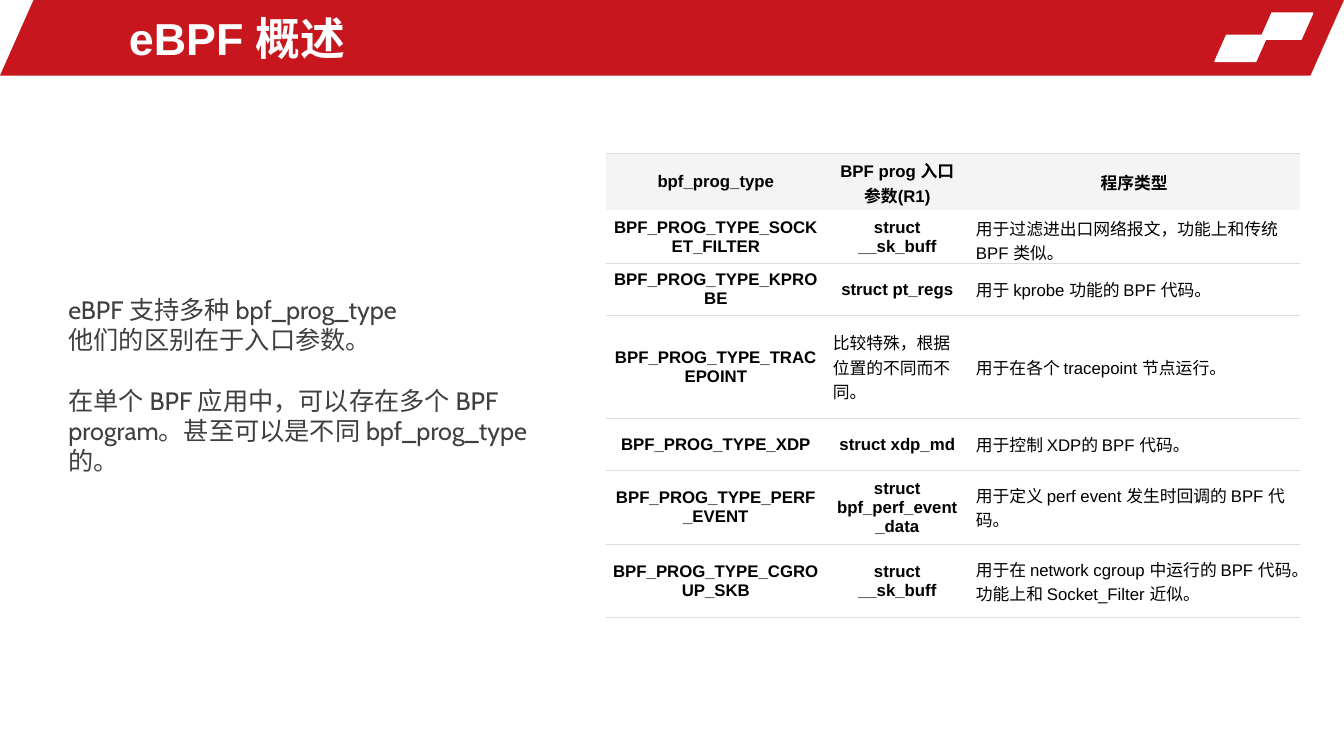
from dataclasses import dataclass
from typing import Any

from lxml.etree import SubElement
from pptx import Presentation
from pptx.dml.color import RGBColor
from pptx.enum.shapes import MSO_SHAPE
from pptx.enum.text import MSO_ANCHOR, MSO_AUTO_SIZE, PP_ALIGN
from pptx.oxml.ns import qn
from pptx.util import Inches, Pt


@dataclass(frozen=True)
class Theme:
    red: str = "C8161E"
    white: str = "FFFFFF"
    black: str = "000000"
    gray: str = "3F3F3F"
    head: str = "F4F4F4"
    rule: str = "DDDDDD"
    sans: str = "Arial"
    text: str = "Cabin"
    title: int = 32
    body: int = 18
    cell: int = 12


@dataclass(frozen=True)
class Slant:
    left: float
    top: float
    width: float
    height: float
    color: str


@dataclass(frozen=True)
class Prog:
    kind: str
    param: str
    usage: str
    height: float
    plain: bool = False  # parameter is prose, not a struct name


THEME = Theme()

SLANTS = [
    Slant(0, 0, 13.33, 0.75, THEME.red),
    Slant(12.5, 0.13, 0.52, 0.26, THEME.white),
    Slant(12.05, 0.35, 0.52, 0.26, THEME.white),
]

HEADS = ["bpf_prog_type", "BPF prog 入口参数(R1)", "程序类型"]
WIDTHS = [2.18, 1.42, 3.28]
HEAD_HIGH = 0.57
PROGS = [
    Prog("BPF_PROG_TYPE_SOCKET_FILTER", "struct __sk_buff",
         "用于过滤进出口网络报文，功能上和传统 BPF 类似。", 0.52),
    Prog("BPF_PROG_TYPE_KPROBE", "struct pt_regs",
         "用于 kprobe 功能的 BPF 代码。", 0.52),
    Prog("BPF_PROG_TYPE_TRACEPOINT", "比较特殊，根据 位置的不同而不同。",
         "用于在各个 tracepoint 节点运行。", 1.02, plain=True),
    Prog("BPF_PROG_TYPE_XDP", "struct xdp_md",
         "用于控制 XDP的 BPF 代码。", 0.52),
    Prog("BPF_PROG_TYPE_PERF_EVENT", "struct bpf_perf_event_data",
         "用于定义 perf event 发生时回调的 BPF 代码。", 0.73),
    Prog("BPF_PROG_TYPE_CGROUP_SKB", "struct __sk_buff",
         "用于在 network cgroup 中运行的 BPF 代码。功能上和 Socket_Filter 近似。", 0.73),
]

NOTES = [
    "eBPF 支持多种 bpf_prog_type",
    "他们的区别在于入口参数。",
    "在单个 BPF 应用中，可以存在多个 BPF program。甚至可以是不同 bpf_prog_type 的。",
]


def write(para: Any, text: str, *, size: int, font: str, color: str,
          bold: bool = False, align: Any = PP_ALIGN.LEFT, before: float = 0) -> None:
    para.alignment = align
    para.space_before = Pt(before)
    run = para.add_run()
    run.text = text
    run.font.size = Pt(size)
    run.font.name = font
    run.font.bold = bold
    run.font.color.rgb = RGBColor.from_string(color)


def draw_slant(slide: Any, item: Slant) -> None:
    shape = slide.shapes.add_shape(
        MSO_SHAPE.PARALLELOGRAM, Inches(item.left), Inches(item.top),
        Inches(item.width), Inches(item.height))
    shape.adjustments[0] = 0.444
    shape.shadow.inherit = False
    shape.fill.solid()
    shape.fill.fore_color.rgb = RGBColor.from_string(item.color)
    if item.color == THEME.white:
        shape.line.color.rgb = RGBColor.from_string(item.color)
        shape.line.width = Pt(1)
    else:
        shape.line.fill.background()


def add_box(slide: Any, left: float, top: float, width: float, height: float) -> Any:
    box = slide.shapes.add_textbox(
        Inches(left), Inches(top), Inches(width), Inches(height))
    box.text_frame.word_wrap = True
    return box.text_frame


def set_edges(cell: Any, above: str, below: str) -> None:
    props = cell._tc.get_or_add_tcPr()
    for side, color in (("L", ""), ("R", ""), ("T", above), ("B", below)):
        edge = SubElement(props, qn(f"a:ln{side}"), w=str(Pt(0.6)))
        if color:
            fill = SubElement(edge, qn("a:solidFill"))
            SubElement(fill, qn("a:srgbClr"), val=color)
        else:
            SubElement(edge, qn("a:noFill"))


def fill_cell(cell: Any, text: str, *, fill: str, above: str, below: str,
              strong: bool) -> None:
    cell.margin_left = cell.margin_right = Inches(0.07)
    cell.margin_top = cell.margin_bottom = Inches(0.05)
    cell.vertical_anchor = MSO_ANCHOR.MIDDLE
    set_edges(cell, above, below)
    cell.fill.solid()
    cell.fill.fore_color.rgb = RGBColor.from_string(fill)
    write(cell.text_frame.paragraphs[0], text, size=THEME.cell, font=THEME.sans,
          color=THEME.black, bold=strong,
          align=PP_ALIGN.CENTER if strong else PP_ALIGN.LEFT)


def draw_table(slide: Any) -> None:
    highs = [HEAD_HIGH] + [prog.height for prog in PROGS]
    table = slide.shapes.add_table(
        len(highs), len(WIDTHS), Inches(6.01), Inches(1.52),
        Inches(sum(WIDTHS)), Inches(sum(highs))).table
    table.first_row = table.horz_banding = False
    for col, width in zip(table.columns, WIDTHS):
        col.width = Inches(width)
    for row, high in zip(table.rows, highs):
        row.height = Inches(high)

    # Header row
    for col, head in enumerate(HEADS):
        fill_cell(table.cell(0, col), head, fill=THEME.head, above=THEME.rule,
                  below=THEME.white, strong=True)

    # One row per program type
    for row, prog in enumerate(PROGS, 1):
        above = THEME.white if row == 1 else THEME.rule
        texts = [(prog.kind, True), (prog.param, not prog.plain), (prog.usage, False)]
        for col, (text, strong) in enumerate(texts):
            fill_cell(table.cell(row, col), text, fill=THEME.white, above=above,
                      below=THEME.rule, strong=strong)


def main() -> None:
    deck = Presentation()
    deck.slide_width, deck.slide_height = Inches(13.33), Inches(7.5)
    slide = deck.slides.add_slide(deck.slide_layouts[6])

    # Banner and its ornament
    for item in SLANTS:
        draw_slant(slide, item)

    # Title
    frame = add_box(slide, 1.18, 0.05, 7.74, 0.65)
    frame.vertical_anchor = MSO_ANCHOR.MIDDLE
    write(frame.paragraphs[0], "eBPF 概述", size=THEME.title, font=THEME.sans,
          color=THEME.white, bold=True)

    # Table of program types
    draw_table(slide)

    # Notes on the left, the last one set apart by a line
    frame = add_box(slide, 0.58, 2.87, 4.91, 1.92)
    frame.auto_size = MSO_AUTO_SIZE.SHAPE_TO_FIT_TEXT
    for index, note in enumerate(NOTES):
        para = frame.add_paragraph() if index else frame.paragraphs[0]
        write(para, note, size=THEME.body, font=THEME.text, color=THEME.gray,
              before=21.7 if index == 2 else 0)

    deck.save("out.pptx")


if __name__ == "__main__":
    main()
